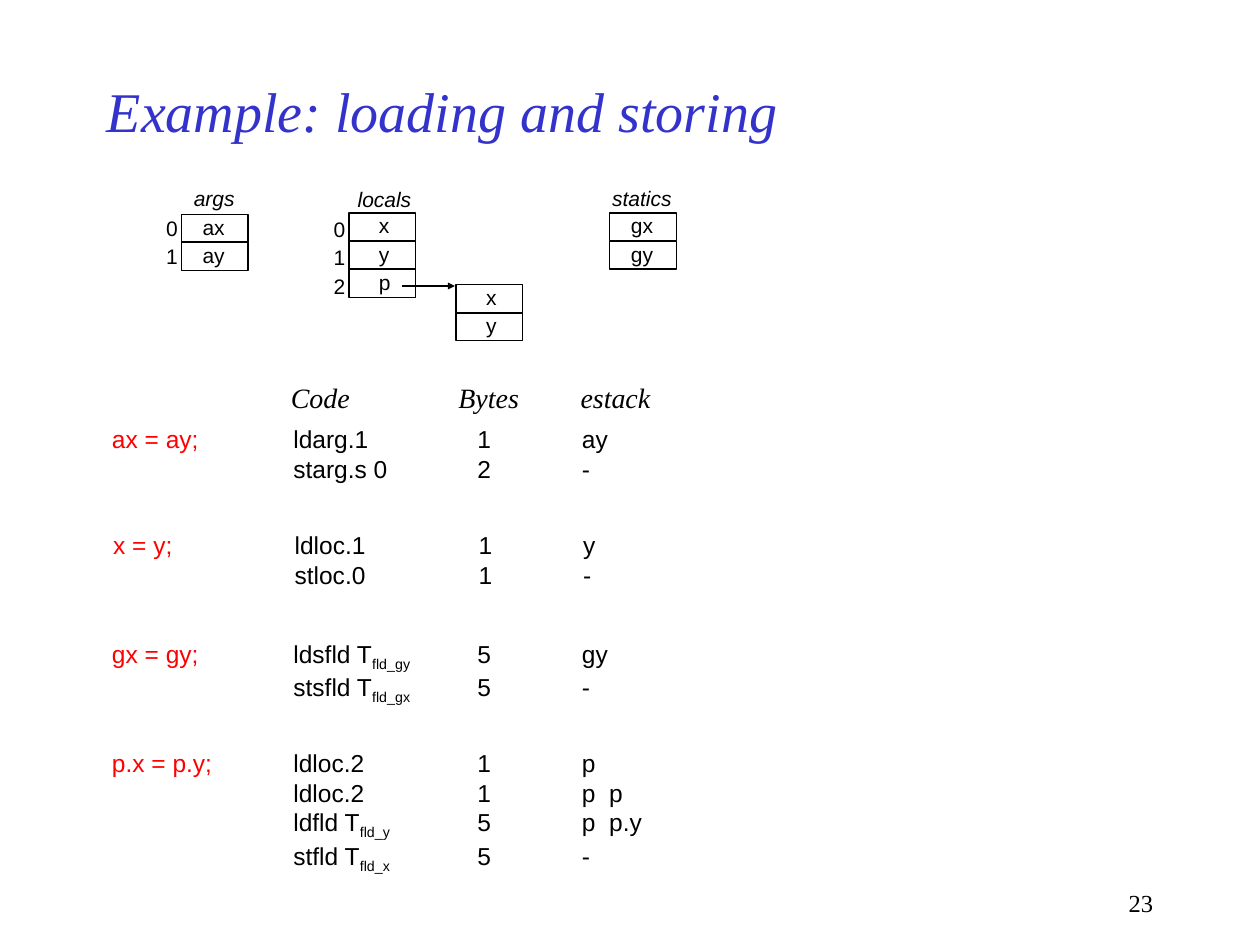
from lxml import etree
from pptx import Presentation
from pptx.dml.color import RGBColor
from pptx.enum.shapes import MSO_CONNECTOR as CONN, MSO_SHAPE as SHAPE
from pptx.enum.text import MSO_ANCHOR as ANCHOR, MSO_AUTO_SIZE as AUTO, PP_ALIGN as ALIGN
from pptx.oxml.ns import qn
from pptx.util import Inches, Pt

BLACK = RGBColor(0, 0, 0)
RED = RGBColor(0xFF, 0, 0)
BLUE = RGBColor(0x33, 0x33, 0xCC)

LABEL = dict(name="Arial", size=Pt(12))
HEADING = dict(name="Times New Roman", size=Pt(16), italic=True)
CODE = dict(name="Arial", size=Pt(14))
TITLE = dict(name="Times New Roman", size=Pt(32), italic=True)
NUMBER = dict(name="Times New Roman", size=Pt(14))

CELL_W, CELL_H, PITCH = 0.53, 0.22, 0.225
CODE_TABS = (1.46, 2.29)

prs = Presentation()
prs.slide_width, prs.slide_height = Inches(10), Inches(7.5)
s = prs.slides.add_slide(prs.slide_layouts[6])


def add_text(x, y, w, h, lines, style, color=BLACK, tabs=()):
    """Add a text box; each line is a list of runs, every second one a subscript."""
    tb = s.shapes.add_textbox(Inches(x), Inches(y), Inches(w), Inches(h))
    tf = tb.text_frame
    tf.word_wrap = False
    tf.auto_size = AUTO.SHAPE_TO_FIT_TEXT
    for i, runs in enumerate(lines):
        p = tf.paragraphs[0] if i == 0 else tf.add_paragraph()
        if tabs:
            tab_list = etree.SubElement(p._p.get_or_add_pPr(), qn("a:tabLst"))
            for pos in tabs:
                etree.SubElement(tab_list, qn("a:tab"), pos=str(Inches(pos)), algn="l")
        for j, text in enumerate(runs):
            r = p.add_run()
            r.text = text
            for key, value in style.items():
                setattr(r.font, key, value)
            r.font.color.rgb = color
            if j % 2:
                r._r.get_or_add_rPr().set("baseline", "-25000")
    return tf


def add_line(x1, y1, x2, y2):
    line = s.shapes.add_connector(CONN.STRAIGHT, Inches(x1), Inches(y1), Inches(x2), Inches(y2))
    line.line.color.rgb = BLACK
    line.line.width = Pt(0.75)
    etree.SubElement(line._element.spPr, qn("a:effectLst"))
    return line


tf = add_text(0.75, 0.5, 7.5, 0.75, [["Example: loading and storing"]], TITLE, BLUE)
tf.auto_size = AUTO.NONE
tf.word_wrap = True
tf.vertical_anchor = ANCHOR.MIDDLE

# Memory areas: left, top, cell names, text offset and width, top of the slot numbers
areas = [
    (1.44, 1.7, ["ax", "ay"], 0.07, 0.4, 1.66),
    (2.77, 1.69, ["x", "y", "p"], 0.14, 0.3, 1.67),
    (3.62, 2.26, ["x", "y"], 0.14, 0.3, None),
    (4.84, 1.69, ["gx", "gy"], 0.07, 0.4, None),
]
for left, top, names, dx, width, number_top in areas:
    for i, name in enumerate(names):
        y = top + i * PITCH
        sp = s.shapes.add_shape(SHAPE.RECTANGLE, Inches(left), Inches(y),
                                Inches(CELL_W), Inches(CELL_H))
        sp.shadow.inherit = False
        sp.fill.background()
        sp.line.color.rgb = BLACK
        sp.line.width = Pt(0.75)
        add_text(left + dx, y - 0.05, width, 0.3, [[name]], LABEL)
        if number_top:
            add_text(left - 0.22, number_top + i * PITCH, 0.3, 0.3, [[str(i)]], LABEL)

for x, y, w, name in [(1.44, 1.42, 0.56, "args"), (2.74, 1.43, 0.66, "locals"),
                      (4.76, 1.42, 0.7, "statics")]:
    add_text(x, y, w, 0.3, [[name]], dict(LABEL, italic=True))

for x in (2.77, 3.3):
    add_line(x, 1.69, x, 2.36)
pointer = add_line(3.19, 2.27, 3.61, 2.27)
etree.SubElement(pointer.line._get_or_add_ln(), qn("a:tailEnd"),
                 type="triangle", w="sm", len="sm")

for x, w, heading in [(2.21, 0.7, "Code"), (3.54, 0.72, "Bytes"), (4.51, 0.8, "estack")]:
    add_text(x, 2.97, w, 0.37, [[heading]], HEADING)

# Statements: left, top, source and its width, then code width, height and lines
statements = [
    (0.79, 3.32, "ax = ay;", 0.92, 2.75, 0.57,
     [["ldarg.1\t1\tay"], ["starg.s 0\t2\t-"]]),
    (0.8, 4.16, "x = y;", 0.7, 2.64, 0.57,
     [["ldloc.1\t1\ty"], ["stloc.0\t1\t-"]]),
    (0.79, 5.02, "gx = gy;", 0.92, 2.75, 0.63,
     [["ldsfld T", "fld_gy", "\t5\tgy"], ["stsfld T", "fld_gx", "\t5\t-"]]),
    (0.79, 5.89, "p.x = p.y;", 1.04, 3.02, 1.1,
     [["ldloc.2\t1\tp"], ["ldloc.2\t1\tp  p"],
      ["ldfld T", "fld_y", "\t5\tp  p.y"], ["stfld T", "fld_x", "\t5\t-"]]),
]
for x, y, source, source_w, code_w, code_h, code in statements:
    add_text(x, y, source_w, 0.34, [[source]], CODE, RED)
    add_text(x + 1.44, y, code_w, code_h, code, CODE, tabs=CODE_TABS)

tf = add_text(7.17, 7, 2.08, 0.33, [["23"]], NUMBER)
tf.auto_size = AUTO.NONE
tf.word_wrap = True
tf.paragraphs[0].alignment = ALIGN.RIGHT

prs.save("out.pptx")
